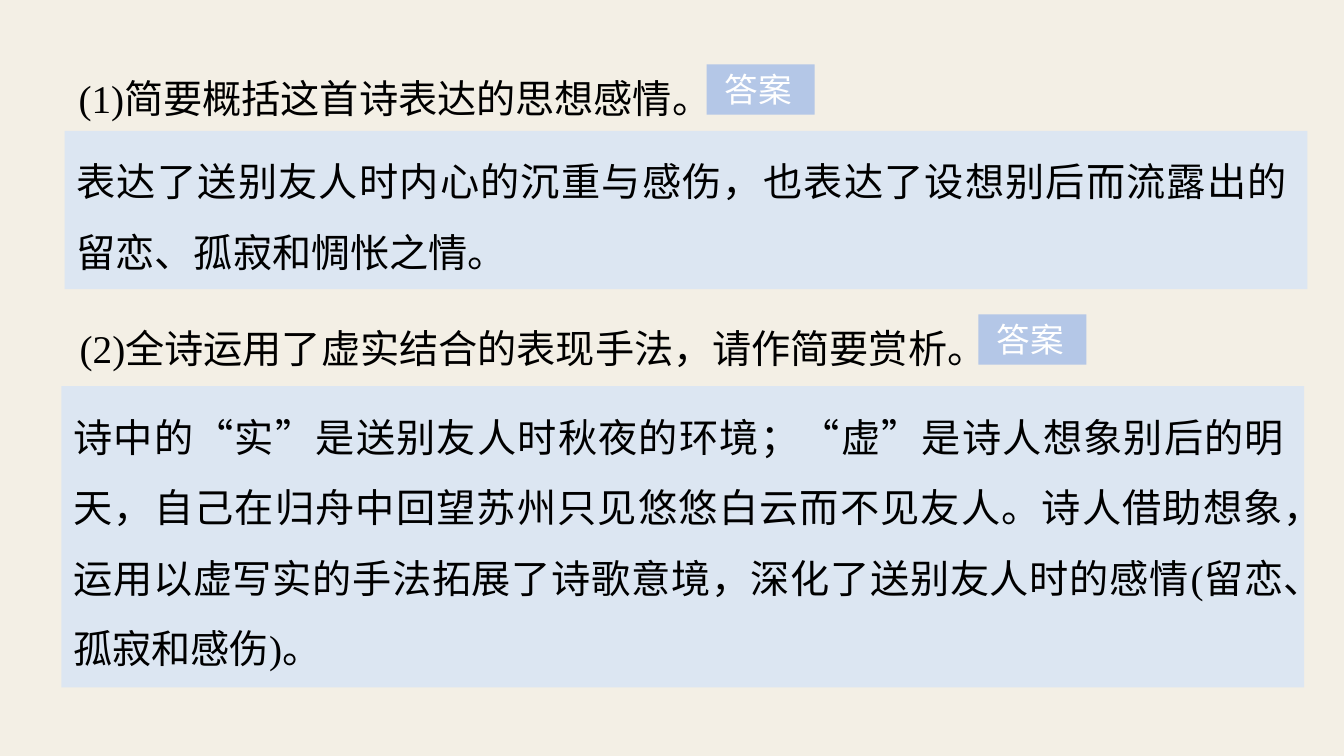
from itertools import groupby
from lxml import etree
from pptx import Presentation
from pptx.dml.color import RGBColor
from pptx.enum import shapes, text
from pptx.oxml import ns
from pptx.util import Cm, Pt

HUES = {"page": "F3EFE5", "panel": "DCE6F2", "tag": "B4C7E7", "ink": "000000", "white": "FFFFFF"}
HAN = "Noto Sans CJK SC"
SERIF = "Times New Roman"

TASKS = [
    {
        "ask": "(1)简要概括这首诗表达的思想感情。",
        "reply": "表达了送别友人时内心的沉重与感伤，也表达了设想别后而流露出的留恋、孤寂和惆怅之情。",
        "box": (1.65, 1.12, 30.56, 6.17),
        "panel": (-0.02, 2.18),
        "tag": 16.16,
    },
    {
        "ask": "(2)全诗运用了虚实结合的表现手法，请作简要赏析。",
        "reply": "诗中的“实”是送别友人时秋夜的环境；“虚”是诗人想象别后的明天，"
                 "自己在归舟中回望苏州只见悠悠白云而不见友人。诗人借助想象，"
                 "运用以虚写实的手法拓展了诗歌意境，深化了送别友人时的感情(留恋、孤寂和感伤)。",
        "box": (1.68, 7.42, 30.56, 9.9),
        "panel": (-0.13, 2.31),
        "tag": 22.98,
    },
]


def hue(name):
    return RGBColor.from_string(HUES[name])


def add_run(para, words, face, size, ink):
    run = para.add_run()
    run.text = words
    run.font.size = Pt(size)
    run.font.bold = False
    run.font.color.rgb = hue(ink)
    run.font.name = face
    east = etree.SubElement(run._r.get_or_add_rPr(), ns.qn("a:ea"))
    east.set("typeface", HAN)


def write(shape, words):
    frame = shape.text_frame
    frame.word_wrap = True
    frame.auto_size = text.MSO_AUTO_SIZE.NONE
    frame.vertical_anchor = text.MSO_ANCHOR.TOP
    frame.margin_left = frame.margin_right = Cm(0.33)
    frame.margin_top = frame.margin_bottom = Cm(0.17)
    para = frame.paragraphs[0]
    para.alignment = text.PP_ALIGN.JUSTIFY
    para.line_spacing = 1.5
    for quote, part in groupby(words, lambda c: c in "“”"):
        add_run(para, "".join(part), HAN if quote else SERIF, 28, "ink")


def add_block(slide, box, fill):
    block = slide.shapes.add_shape(shapes.MSO_SHAPE.RECTANGLE, *map(Cm, box))
    block.shadow.inherit = False
    block.fill.solid()
    block.fill.fore_color.rgb = hue(fill)
    block.line.fill.background()
    return block


def add_tag(slide, box):
    frame = add_block(slide, box, "tag").text_frame
    frame.word_wrap = True
    frame.margin_left = Cm(0.46)
    frame.margin_right = Cm(0)
    frame.vertical_anchor = text.MSO_ANCHOR.MIDDLE
    para = frame.paragraphs[0]
    para.alignment = text.PP_ALIGN.LEFT
    add_run(para, "答案", "Arial", 24, "white")


def add_reply(slide, box, words):
    left, top, width, height = box
    add_block(slide, box, "panel")
    inner = (left - 0.03, top - 0.09, width - 0.15, height - 0.28)
    write(slide.shapes.add_textbox(*map(Cm, inner)), words)


def add_task(slide, box, task, title=None):
    left, top, width, height = box
    spot = [Cm(n) for n in (left, top, width, 1.9)]
    ask = title or slide.shapes.add_textbox(*spot)
    ask.left, ask.top, ask.width, ask.height = spot
    write(ask, task["ask"])
    dx, dy = task["panel"]
    add_reply(slide, (left + dx, top + dy, 31.32, height - dy), task["reply"])
    add_tag(slide, (left + task["tag"], top + 0.5, 2.72, 1.27))


def main():
    deck = Presentation()
    deck.slide_width, deck.slide_height = Cm(33.87), Cm(19.05)
    slide = deck.slides.add_slide(deck.slide_layouts[5])
    slide.background.fill.solid()
    slide.background.fill.fore_color.rgb = hue("page")
    for task, title in zip(TASKS, (slide.shapes.title, None)):
        add_task(slide, task["box"], task, title)
    deck.save("out.pptx")


if __name__ == "__main__":
    main()
